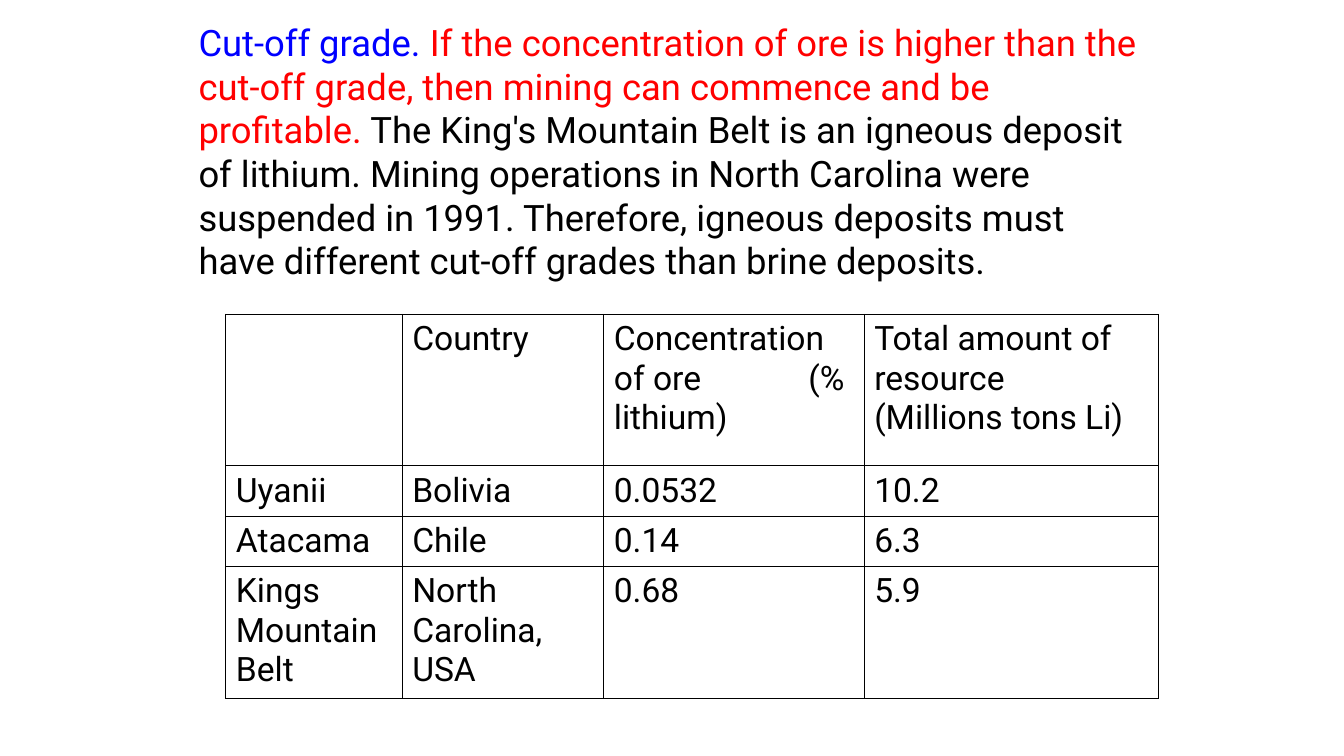
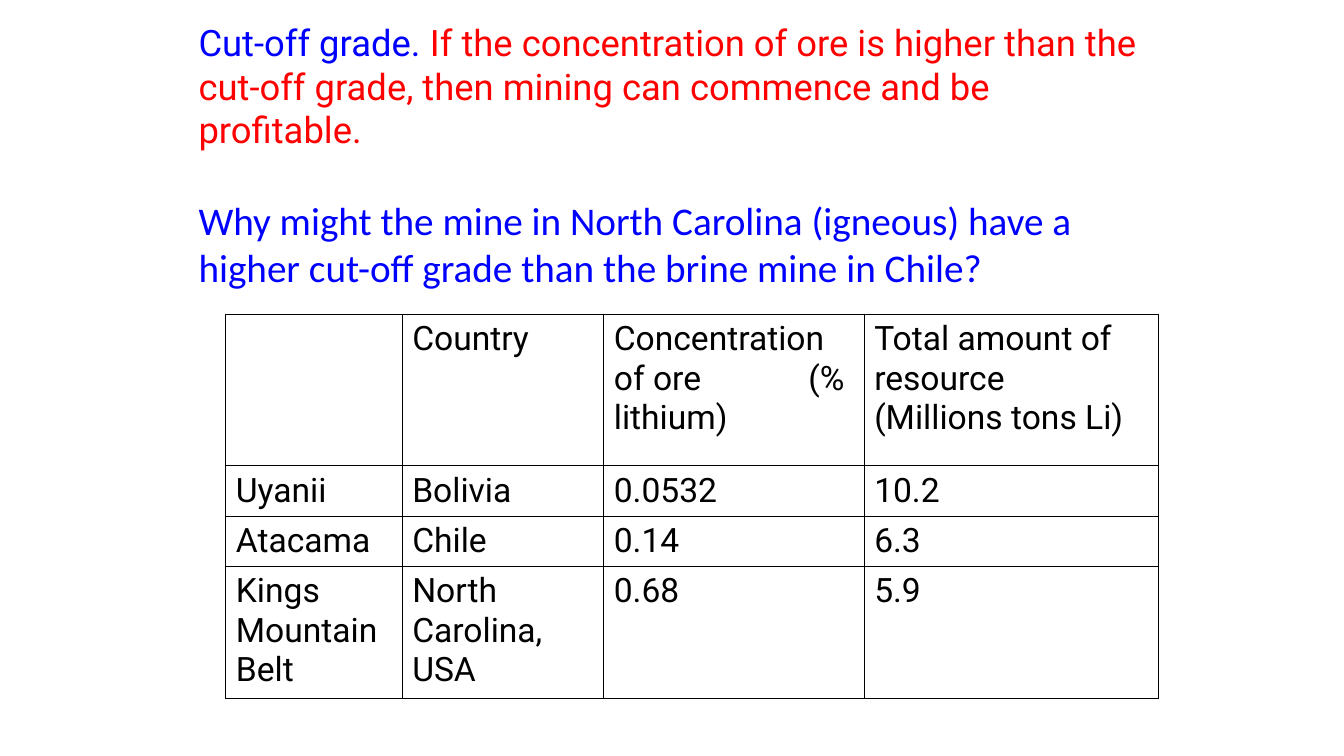
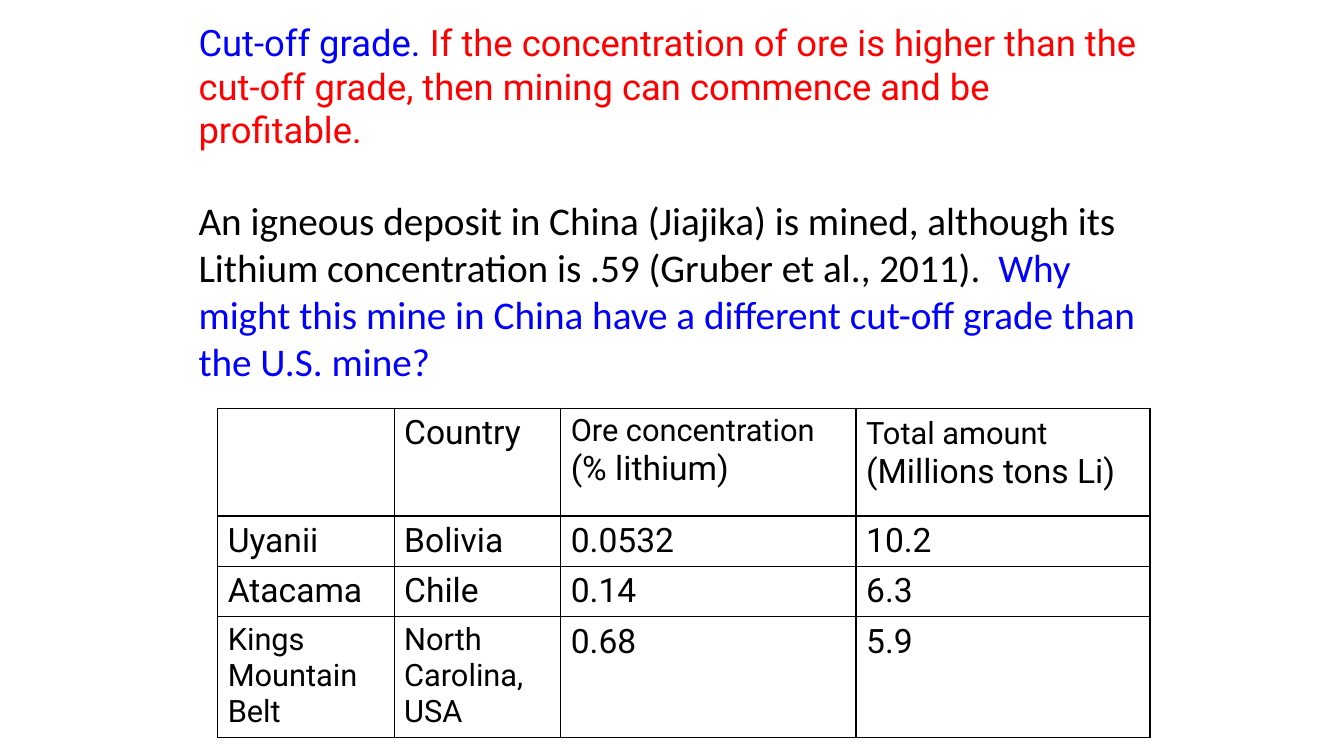
from dataclasses import dataclass

from lxml.etree import SubElement
from pptx import Presentation
from pptx.dml.color import RGBColor as RGB
from pptx.enum.text import MSO_ANCHOR as Anchor, MSO_AUTO_SIZE as AutoSize, PP_ALIGN as Align
from pptx.oxml.ns import qn
from pptx.util import Pt


@dataclass(frozen=True)
class Theme:
    blue: RGB = RGB(0x00, 0x00, 0xFF)
    red: RGB = RGB(0xFF, 0x00, 0x00)
    black: RGB = RGB(0x00, 0x00, 0x00)
    main_font: str = "Roboto"
    question_font: str = "Calibri"
    statement_size: int = 26
    question_size: int = 28
    cell_size: int = 24
    small_cell_size: int = 22
    paragraph_gap: int = 32
    border_width: int = 1


T = Theme()

# Shared wording
TERM = ("Cut-off grade. ", T.blue)
RULE = "If the concentration of ore is higher than the cut-off grade, then mining can commence and be profitable."
DEFINITION = [TERM, (RULE, T.red)]
MINES = [
    ["Uyanii", "Bolivia", "0.0532", "10.2"],
    ["Atacama", "Chile", "0.14", "6.3"],
]
BELT, BELT_COUNTRY = "Kings Mountain Belt", "North Carolina, USA"
BELT_VALUES = ["0.68", "5.9"]


def small(text):
    return (text, T.small_cell_size)


FULL_TABLE = [
    ["", "Country", "Concentration of ore\t(% lithium)",
     "Total amount of resource\n(Millions tons Li)"],
    *MINES,
    [BELT, BELT_COUNTRY, *BELT_VALUES],
]
SHORT_TABLE = [
    ["", "Country",
     [small("Ore concentration "), ("(% lithium)", T.cell_size)],
     [small("Total amount"), (" (Millions tons Li)", T.cell_size)]],
    *MINES,
    [[small(BELT)], [small(BELT_COUNTRY)], *BELT_VALUES],
]

# Boxes are left, top, width, height
TEXT_BOX = (134.6, 10.8, 692.6, 197)
FULL_BOX = (161.3, 224.7, 666, 274)
SHORT_BOX = (155.5, 291.6, 666, 235.5)
FULL_COLS = (126, 144, 186, 210)
SHORT_COLS = (126, 119, 211, 210)
FULL_HEADER, SHORT_HEADER = 108, 77
ROW_HEIGHT = 36
TAB_STOP = 139


def add_run(p, text, font, size, color):
    for i, line in enumerate(text.split("\n")):
        if i:
            p.add_line_break()
        r = p.add_run()
        r.text = line
        r.font.name, r.font.size = font, Pt(size)
        r.font.color.rgb = color


def add_statement(slide, box, paragraphs):
    """Definition first, then an optional question in its own font."""
    sp = slide.shapes.title
    sp.left, sp.top, sp.width, sp.height = map(Pt, box)
    tf = sp.text_frame
    tf.word_wrap, tf.auto_size = True, AutoSize.NONE
    tf.vertical_anchor = Anchor.TOP
    for i, runs in enumerate(paragraphs):
        p = tf.add_paragraph() if i else tf.paragraphs[0]
        p.alignment = Align.LEFT
        p.space_before = Pt(T.paragraph_gap if i else 0)
        font, size = ((T.question_font, T.question_size) if i
                      else (T.main_font, T.statement_size))
        for text, color in runs:
            add_run(p, text, font, size, color)


def add_tab_stop(p, position):
    tabs = SubElement(p._p.get_or_add_pPr(), qn("a:tabLst"))
    SubElement(tabs, qn("a:tab"), pos=str(Pt(position)), algn="l")


def set_borders(cell):
    tc_pr = cell._tc.get_or_add_tcPr()
    for side in ("lnL", "lnR", "lnT", "lnB"):
        ln = SubElement(tc_pr, qn(f"a:{side}"), w=str(Pt(T.border_width)))
        fill = SubElement(ln, qn("a:solidFill"))
        SubElement(fill, qn("a:srgbClr"), val=str(T.black))


def fill_cell(cell, content):
    set_borders(cell)
    cell.fill.background()
    p = cell.text_frame.paragraphs[0]
    runs = [(content, T.cell_size)] if isinstance(content, str) else content
    for text, size in runs:
        if text:
            add_run(p, text, T.main_font, size, T.black)
        if "\t" in text:
            add_tab_stop(p, TAB_STOP)


def add_mine_table(slide, box, cols, header, rows):
    """The last row takes the height the others leave."""
    table = slide.shapes.add_table(len(rows), len(cols), *map(Pt, box)).table
    table.first_row = table.horz_banding = False
    for column, width in zip(table.columns, cols):
        column.width = Pt(width)
    heights = [header] + [ROW_HEIGHT] * len(MINES)
    heights.append(box[3] - sum(heights))
    for row, height, contents in zip(table.rows, heights, rows):
        row.height = Pt(height)
        for cell, content in zip(row.cells, contents):
            fill_cell(cell, content)


def add_grade_slide(prs, paragraphs, table):
    slide = prs.slides.add_slide(prs.slide_layouts.get_by_name("Title Only"))
    add_statement(slide, TEXT_BOX, paragraphs)
    add_mine_table(slide, *table)


def main():
    prs = Presentation()
    prs.slide_width, prs.slide_height = Pt(960), Pt(540)
    full = (FULL_BOX, FULL_COLS, FULL_HEADER, FULL_TABLE)
    short = (SHORT_BOX, SHORT_COLS, SHORT_HEADER, SHORT_TABLE)

    # Igneous and brine deposits
    add_grade_slide(prs, [[*DEFINITION, (
        " The King's Mountain Belt is an igneous deposit of lithium. Mining operations in "
        "North Carolina were suspended in 1991. Therefore, igneous deposits must have "
        "different cut-off grades than brine deposits.", T.black)]], full)

    # North Carolina and Chile
    add_grade_slide(prs, [DEFINITION, [(
        "Why might the mine in North Carolina (igneous) have a higher cut-off grade "
        "than the brine mine in Chile?", T.blue)]], full)

    # China and the U.S.
    add_grade_slide(prs, [DEFINITION, [
        ("An igneous deposit in China (Jiajika) is mined, although its Lithium "
         "concentration is .59 (Gruber et al., 2011).  ", T.black),
        ("Why might this mine in China have a different cut-off grade than the "
         "U.S. mine?", T.blue)]], short)

    prs.save("out.pptx")


if __name__ == "__main__":
    main()
